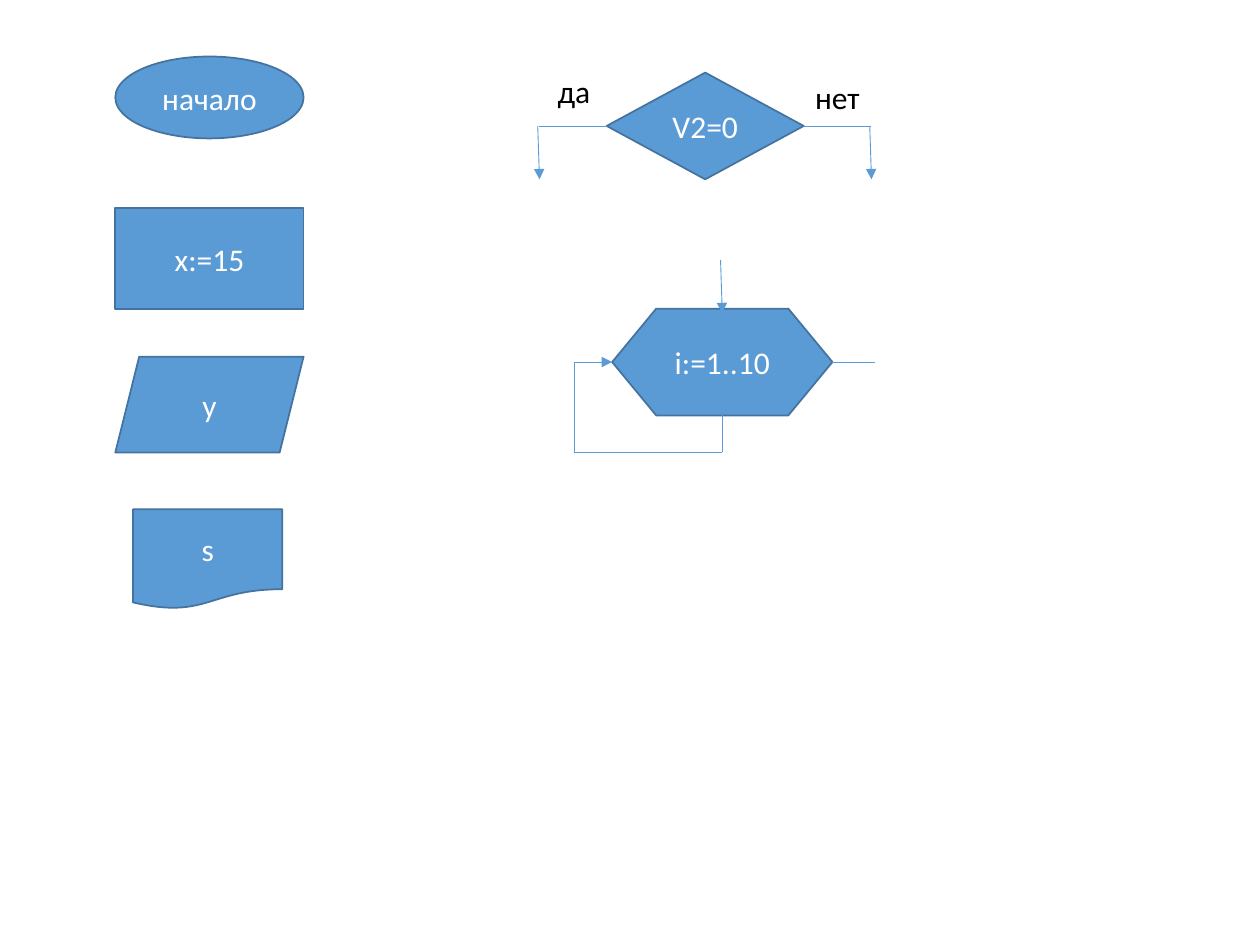
from lxml.etree import SubElement
from pptx import Presentation
from pptx.dml.color import RGBColor
from pptx.enum.shapes import MSO_CONNECTOR, MSO_SHAPE
from pptx.enum.text import MSO_ANCHOR, PP_ALIGN
from pptx.oxml.ns import qn
from pptx.util import Pt

COLORS = {"fill": "5B9BD5", "outline": "43739E", "white": "FFFFFF", "black": "000000"}


def color(name):
    return RGBColor.from_string(COLORS[name])


def add_box(slide, kind, text, left, top, width, height,
            fill="fill", outline="outline", ink="white"):
    """Add a filled preset shape with centred text."""
    shape = slide.shapes.add_shape(kind, Pt(left), Pt(top), Pt(width), Pt(height))
    shape.shadow.inherit = False
    shape.fill.solid()
    shape.fill.fore_color.rgb = color(fill)
    if outline:
        shape.line.color.rgb = color(outline)
        shape.line.width = Pt(1)
    else:
        shape.line.fill.background()
    text_frame = shape.text_frame
    text_frame.text = text
    text_frame.word_wrap = True
    text_frame.vertical_anchor = MSO_ANCHOR.MIDDLE
    paragraph = text_frame.paragraphs[0]
    paragraph.alignment = PP_ALIGN.CENTER
    font = paragraph.runs[0].font
    font.name, font.size = "Calibri", Pt(18)
    font.color.rgb = color(ink)
    return shape


def add_label(slide, text, left, top):
    """Add a white, borderless branch label."""
    label = add_box(slide, MSO_SHAPE.RECTANGLE, text, left, top, 44, 23,
                    fill="white", outline=None, ink="black")
    text_frame = label.text_frame
    text_frame.margin_left = text_frame.margin_right = 0
    text_frame.margin_top = text_frame.margin_bottom = 0


def add_line(slide, start, end, arrow=False):
    """Add a thin straight line, with an arrowhead at its end if asked."""
    line = slide.shapes.add_connector(
        MSO_CONNECTOR.STRAIGHT, *(Pt(value) for value in (*start, *end)))
    line.line.color.rgb = color("fill")
    line.line.width = Pt(0.5)
    if arrow:
        SubElement(line.line._get_or_add_ln(), qn("a:tailEnd"), type="triangle")
    SubElement(line._element.spPr, qn("a:effectLst"))


def add_route(slide, points, arrow=False):
    """Join points with lines; only the last one may carry an arrowhead."""
    last = len(points) - 2
    for index, (start, end) in enumerate(zip(points, points[1:])):
        add_line(slide, start, end, arrow and index == last)


def add_basic_blocks(slide):
    left, width = 65.9, 107.6
    add_box(slide, MSO_SHAPE.OVAL, "начало", left, 32.3, width, 46.8)
    add_box(slide, MSO_SHAPE.RECTANGLE, "x:=15", left, 118.9, width, 57.8)
    add_box(slide, MSO_SHAPE.PARALLELOGRAM, "y", left, 203.9, width, 54.7)
    add_box(slide, MSO_SHAPE.FLOWCHART_DOCUMENT, "s", 76, 291, 85.3, 57)


def add_decision(slide):
    left, top, width, height = 346.7, 41.5, 112.6, 61
    middle, bottom = top + height / 2, top + height
    add_box(slide, MSO_SHAPE.FLOWCHART_DECISION, "V2=0", left, top, width, height)
    # Branches to both sides
    add_line(slide, (left + width, middle), (498, middle))
    add_line(slide, (308, middle), (left, middle))
    for x in (307.3, 497):
        add_line(slide, (x, middle), (x + 1, bottom), arrow=True)
    add_label(slide, "нет", 456.5, 44)
    add_label(slide, "да", 306, 40.5)


def add_loop(slide):
    left, top, width, height = 349.8, 176.4, 125.9, 61
    center, middle, right = left + width / 2, top + height / 2, left + width
    add_box(slide, MSO_SHAPE.FLOWCHART_PREPARATION, "i:=1..10", left, top, width, height)
    # Entry, return path and exit
    add_line(slide, (center - 1, 148.5), (center, 179), arrow=True)
    add_route(slide, [(center, top + height), (center, 258.5), (328.3, 258.5),
                      (328.3, middle), (left, middle)], arrow=True)
    add_line(slide, (right, middle), (500, middle))


def main():
    presentation = Presentation()
    presentation.slide_width, presentation.slide_height = Pt(720), Pt(540)
    slide = presentation.slides.add_slide(presentation.slide_layouts[6])
    add_basic_blocks(slide)
    add_decision(slide)
    add_loop(slide)
    presentation.save("out.pptx")


main()
